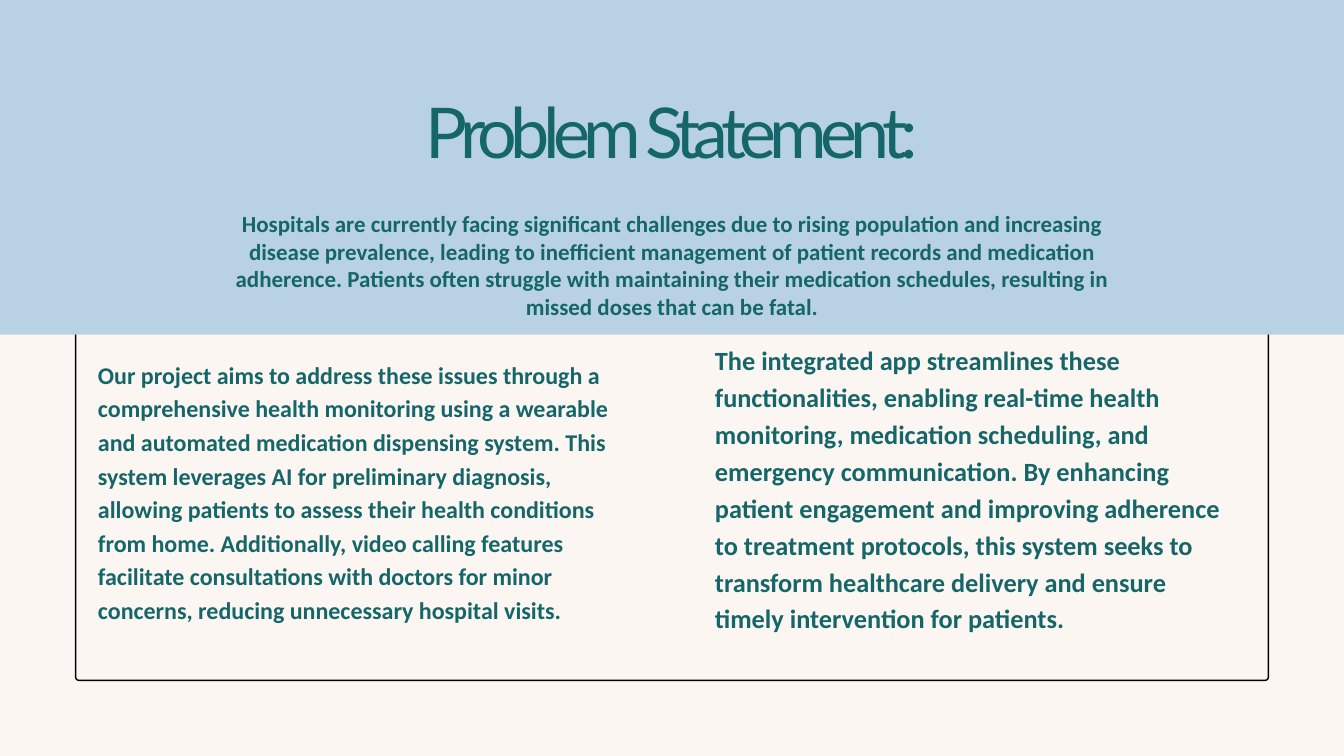
import pptx
import pptx.util
import pptx.dml.color
import pptx.enum.shapes
import pptx.enum.text

Pt = pptx.util.Pt
RGB = pptx.dml.color.RGBColor.from_string
SHAPE = pptx.enum.shapes.MSO_SHAPE
ALIGN = pptx.enum.text.PP_ALIGN

COLORS = {"page": "FBF6F1", "banner": "B8D2E4", "text": "156669", "frame": "000000"}
WIDTH, HEIGHT = 1440, 810
MARGIN = 81
BANNER_HEIGHT = 358.5
CORNER = 3.6

# Content: text, box (left, top, width, height), line spacing, alignment, font
HEADER_LEFT = 241.2
HEADER_WIDTH = WIDTH - 2 * HEADER_LEFT
BODY = {"name": "Calibri", "bold": True}

COLUMNS = [
    ("The integrated app streamlines these functionalities, enabling real-time health "
     "monitoring, medication scheduling, and emergency communication. By enhancing patient "
     "engagement and improving adherence to treatment protocols, this system seeks to "
     "transform healthcare delivery and ensure timely intervention for patients.",
     (766, 363.6, 553, 355), 39.5, ALIGN.LEFT, {**BODY, "size": Pt(28.2)}),
    ("Our project aims to address these issues through a comprehensive health monitoring "
     "using a wearable and automated medication dispensing system. This system leverages AI "
     "for preliminary diagnosis, allowing patients to assess their health conditions from "
     "home. Additionally, video calling features facilitate consultations with doctors for "
     "minor concerns, reducing unnecessary hospital visits.",
     (105, 380.9, 580.3, 321), 36, ALIGN.LEFT, {**BODY, "size": Pt(25.7)}),
]
TITLE = ("Problem Statement:", (HEADER_LEFT, 112.3, HEADER_WIDTH, 81.4), 72.8,
         ALIGN.CENTER, {"name": "Lato", "size": Pt(75)})
INTRO = ("Hospitals are currently facing significant challenges due to rising population and "
         "increasing disease prevalence, leading to inefficient management of patient records "
         "and medication adherence. Patients often struggle with maintaining their medication "
         "schedules, resulting in missed doses that can be fatal.",
         (HEADER_LEFT, 224.6, HEADER_WIDTH, 121), 29.5, ALIGN.CENTER,
         {**BODY, "size": Pt(24.6)})
TITLE_TRACKING = -7.2


def add_text(slide, text, box, spacing, align, font):
    tf = slide.shapes.add_textbox(*map(Pt, box)).text_frame
    frame_format = {
        "word_wrap": True,
        "auto_size": pptx.enum.text.MSO_AUTO_SIZE.SHAPE_TO_FIT_TEXT,
        "margin_left": 0, "margin_top": 0, "margin_right": 0, "margin_bottom": 0,
    }
    for name, value in frame_format.items():
        setattr(tf, name, value)
    p = tf.paragraphs[0]
    p.alignment, p.line_spacing = align, Pt(spacing)
    r = p.add_run()
    r.text = text
    for name, value in font.items():
        setattr(r.font, name, value)
    r.font.color.rgb = RGB(COLORS["text"])
    return r


def main():
    prs = pptx.Presentation()
    prs.slide_width, prs.slide_height = Pt(WIDTH), Pt(HEIGHT)
    s = prs.slides.add_slide(prs.slide_layouts[6])
    s.background.fill.solid()
    s.background.fill.fore_color.rgb = RGB(COLORS["page"])

    # Outlined frame, its upper part behind the banner
    frame_height = HEIGHT - 2 * MARGIN
    frame = s.shapes.add_shape(SHAPE.ROUNDED_RECTANGLE, Pt(MARGIN), Pt(MARGIN),
                               Pt(WIDTH - 2 * MARGIN), Pt(frame_height))
    frame.adjustments[0] = CORNER / frame_height
    frame.shadow.inherit = False
    frame.fill.background()
    frame.line.color.rgb = RGB(COLORS["frame"])
    frame.line.width = Pt(1.5)

    # Two columns of body text
    for column in COLUMNS:
        add_text(s, *column)

    # Banner with title and introduction
    banner = s.shapes.add_shape(SHAPE.RECTANGLE, 0, 0, Pt(WIDTH), Pt(BANNER_HEIGHT))
    banner.shadow.inherit = False
    banner.fill.solid()
    banner.fill.fore_color.rgb = RGB(COLORS["banner"])
    banner.line.fill.background()
    r = add_text(s, *TITLE)
    r._r.get_or_add_rPr().set("spc", str(round(TITLE_TRACKING * 100)))
    add_text(s, *INTRO)

    prs.save("out.pptx")


if __name__ == "__main__":
    main()
